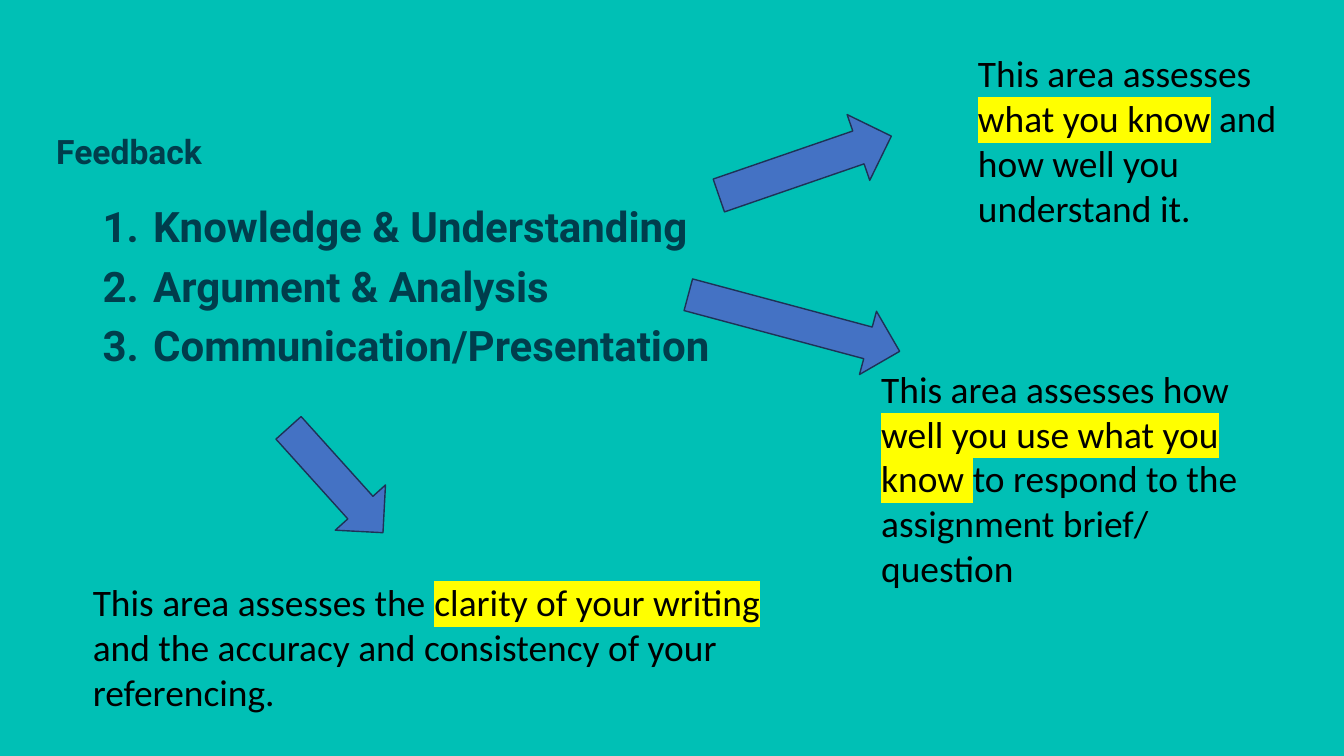
from lxml import etree
from pptx import Presentation
from pptx.dml.color import RGBColor
from pptx.enum.shapes import MSO_SHAPE
from pptx.enum.text import MSO_ANCHOR, MSO_AUTO_SIZE
from pptx.oxml.ns import qn
from pptx.util import Inches, Pt

ARROW = MSO_SHAPE.RIGHT_ARROW
TOP, MIDDLE = MSO_ANCHOR.TOP, MSO_ANCHOR.MIDDLE
GROW = MSO_AUTO_SIZE.SHAPE_TO_FIT_TEXT
FIXED = MSO_AUTO_SIZE.NONE

TEAL = RGBColor(0x00, 0xC0, 0xB5)
NAVY = RGBColor(0x00, 0x3D, 0x4C)
BLACK = RGBColor(0x00, 0x00, 0x00)
BLUE = RGBColor(0x44, 0x72, 0xC4)
OUTLINE = RGBColor(0x1E, 0x32, 0x56)
YELLOW = RGBColor(0xFF, 0xFF, 0x00)


def add_run(p, text, *, size, font, color, bold=False, highlight=None):
    r = p.add_run()
    r.text = text
    r.font.size = Pt(size)
    r.font.bold = bold
    r.font.color.rgb = color
    if highlight is not None:
        # The highlight has to come right after the text fill
        hl = etree.Element(qn("a:highlight"))
        etree.SubElement(hl, qn("a:srgbClr"), val=str(highlight))
        r.font.fill  # keeps the solid fill in place
        r._r.rPr.find(qn("a:solidFill")).addnext(hl)
    r.font.name = font


def add_box(s, box, *, inset=(0.1, 0.05), anchor=TOP, auto_size=FIXED):
    tf = s.shapes.add_textbox(*map(Inches, box)).text_frame
    tf.word_wrap = True
    tf.auto_size = auto_size
    tf.vertical_anchor = anchor
    tf.margin_left = tf.margin_right = Inches(inset[0])
    tf.margin_top = tf.margin_bottom = Inches(inset[1])
    return tf


def add_heading(s, text, box):
    p = add_box(s, box, anchor=MIDDLE).paragraphs[0]
    p.line_spacing = 0.9
    add_run(p, text, size=24, font="Roboto", color=NAVY, bold=True)


def add_numbered_list(s, items, box):
    tf = add_box(s, box)
    for i, item in enumerate(items):
        p = tf.add_paragraph() if i else tf.paragraphs[0]
        p.line_spacing = 0.9
        p.space_before = Pt(10)
        pPr = p._p.get_or_add_pPr()
        pPr.set("marL", str(Inches(0.5)))
        pPr.set("indent", str(Inches(-0.5)))
        etree.SubElement(pPr, qn("a:buFont"), typeface="+mj-lt")
        etree.SubElement(pPr, qn("a:buAutoNum"), type="arabicPeriod")
        add_run(p, item, size=30, font="Roboto", color=NAVY, bold=True)


def add_note(s, before, marked, after, box):
    p = add_box(s, box, inset=(0.13, 0.07), auto_size=GROW).paragraphs[0]
    for text, highlight in ((before, None), (marked, YELLOW), (after, None)):
        add_run(p, text, size=26.7, font="Calibri", color=BLACK,
                highlight=highlight)


def add_arrow(s, box, angle):
    sp = s.shapes.add_shape(ARROW, *map(Inches, box))
    sp.rotation = angle
    sp.shadow.inherit = False
    sp.fill.solid()
    sp.fill.fore_color.rgb = BLUE
    sp.line.color.rgb = OUTLINE
    sp.line.width = Pt(1)


def main():
    prs = Presentation()
    prs.slide_width, prs.slide_height = Inches(13.33), Inches(7.5)
    s = prs.slides.add_slide(prs.slide_layouts[6])
    s.background.fill.solid()
    s.background.fill.fore_color.rgb = TEAL

    # Heading and assessment areas
    add_heading(s, "Feedback", (0.46, 0.34, 11.63, 2.36))
    areas = ("Knowledge & Understanding", "Argument & Analysis",
             "Communication/Presentation")
    add_numbered_list(s, areas, (0.92, 2, 11.5, 4.76))

    # Arrows from the areas to their explanations
    add_arrow(s, (7.08, 1.3, 1.81, 0.69), 341)
    add_arrow(s, (6.79, 2.88, 2.17, 0.65), 15)
    add_arrow(s, (2.63, 4.43, 1.4, 0.67), 48)

    # Explanations with the key phrase highlighted
    add_note(s, "This area assesses ", "what you know",
             " and how well you understand it.", (9.57, 0.43, 3.57, 1.93))
    add_note(s, "This area assesses how ", "well you use what you know ",
             "to respond to the assignment brief/ question",
             (8.61, 3.56, 3.99, 2.38))
    add_note(s, "This area assesses the ", "clarity of your writing",
             " and the accuracy and consistency of your referencing.",
             (0.79, 5.68, 7.32, 1.48))

    prs.save("out.pptx")


if __name__ == "__main__":
    main()
